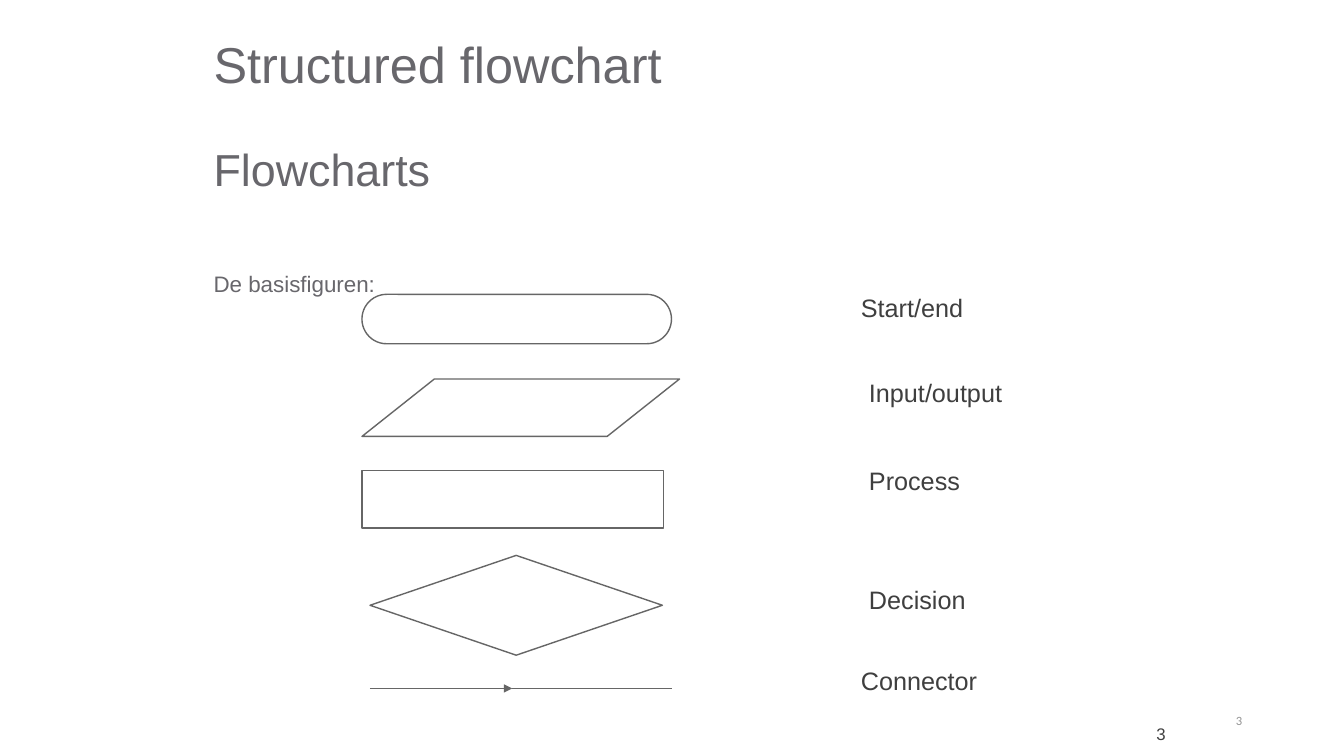
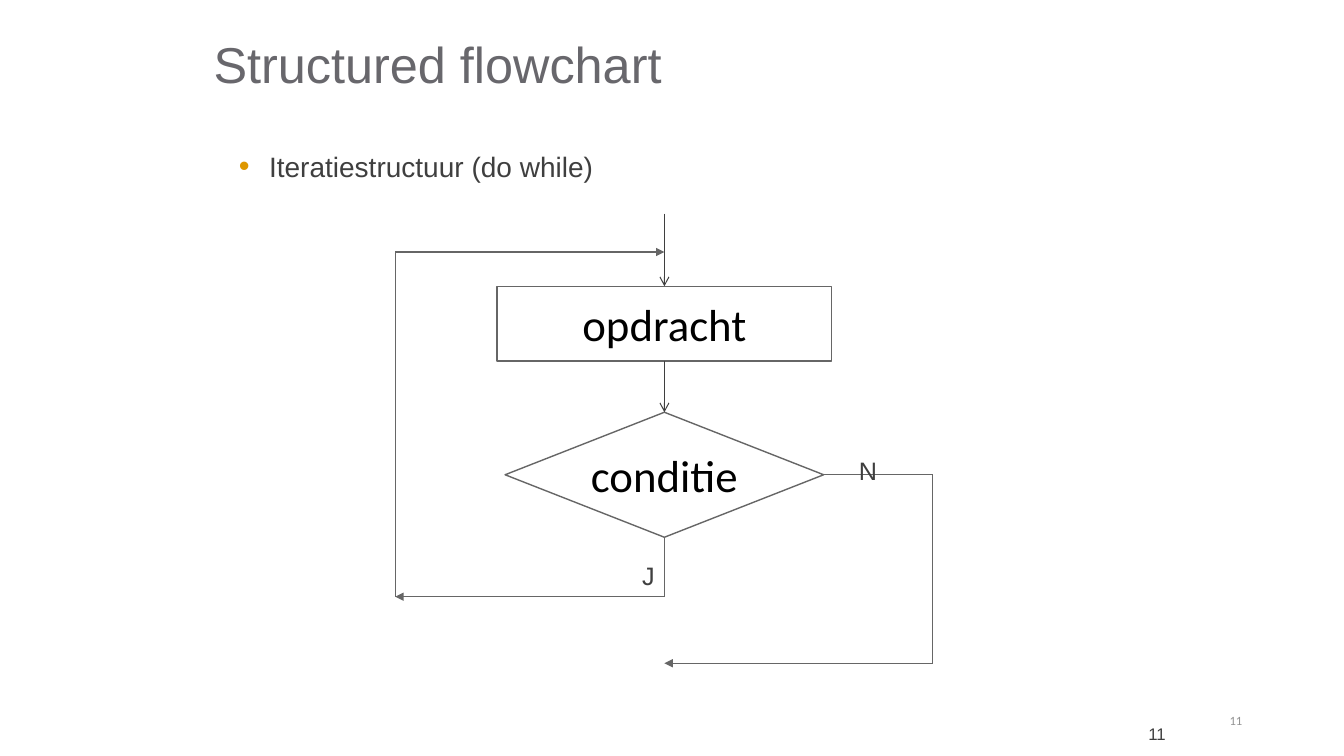
from lxml.etree import SubElement
from pptx import Presentation
from pptx.dml.color import RGBColor
from pptx.enum.shapes import MSO_CONNECTOR, MSO_SHAPE
from pptx.enum.text import MSO_ANCHOR, PP_ALIGN
from pptx.oxml.ns import qn
from pptx.util import Inches, Pt

COLORS = {
    "heading": "68676C",
    "text": "3F3F3F",
    "line": "666666",
    "number": "939393",
    "bullet": "DE9700",
    "black": "000000",
}


class FlowchartDeck:
    def __init__(self):
        self.presentation = Presentation()
        self.presentation.slide_width = Inches(13.33)
        self.presentation.slide_height = Inches(7.5)
        self.slide = None

    def color(self, key):
        return RGBColor.from_string(COLORS[key])

    def style(self, paragraph, size, color, face="Arial", align=None):
        paragraph.alignment = align
        paragraph.font.size = Pt(size)
        paragraph.font.name = face
        paragraph.font.color.rgb = self.color(color)

    def text(self, box, content, size, color="text", face="Arial",
             align=None, anchor=MSO_ANCHOR.TOP):
        frame = self.slide.shapes.add_textbox(*map(Inches, box)).text_frame
        frame.word_wrap = True
        frame.vertical_anchor = anchor
        paragraph = frame.paragraphs[0]
        paragraph.text = content
        self.style(paragraph, size, color, face, align)
        return frame

    def new_slide(self, title, number):
        self.slide = self.presentation.slides.add_slide(
            self.presentation.slide_layouts[6])
        self.text((2.02, 0, 9.53, 1.25), title, 36, "heading",
                  anchor=MSO_ANCHOR.MIDDLE)
        self.text((9.33, 7.08, 2.33, 0.4), number, 12,
                  align=PP_ALIGN.RIGHT, anchor=MSO_ANCHOR.MIDDLE)
        self.text((11.23, 6.95, 1.19, 0.4), number, 9, "number", "Calibri",
                  PP_ALIGN.RIGHT, MSO_ANCHOR.MIDDLE)

    def intro(self, heading, detail):
        frame = self.text((2.02, 1.36, 9.29, 5.15), heading, 32, "heading")
        paragraph = frame.add_paragraph()
        paragraph.text = detail
        paragraph.space_before = Pt(53)
        self.style(paragraph, 16, "heading")

    def bullet(self, box, content, size):
        frame = self.slide.shapes.add_textbox(*map(Inches, box)).text_frame
        frame.word_wrap = True
        paragraph = frame.paragraphs[0]
        paragraph.text = content
        properties = paragraph._p.get_or_add_pPr()
        properties.set("marL", str(Inches(0.3)))
        properties.set("indent", str(-Inches(0.3)))
        tint = SubElement(properties, qn("a:buClr"))
        SubElement(tint, qn("a:srgbClr"), val=COLORS["bullet"])
        SubElement(properties, qn("a:buSzPct"), val="110000")
        SubElement(properties, qn("a:buFont"), typeface="Arial")
        SubElement(properties, qn("a:buChar"), char="•")
        self.style(paragraph, size, "text")

    def figure(self, preset, box, label=None, adjustment=None):
        shape = self.slide.shapes.add_shape(preset, *map(Inches, box))
        shape.shadow.inherit = False
        shape.fill.background()
        shape.line.color.rgb = self.color("line")
        shape.line.width = Pt(1)
        if adjustment is not None:
            shape.adjustments[0] = adjustment
        if label:
            frame = shape.text_frame
            frame.word_wrap = False
            frame.vertical_anchor = MSO_ANCHOR.MIDDLE
            paragraph = frame.paragraphs[0]
            paragraph.text = label
            self.style(paragraph, 32, "black", "Calibri", PP_ALIGN.CENTER)
        return shape

    def line(self, start, end, arrow=None, color="line", width=1,
             source=None, target=None):
        connector = self.slide.shapes.add_connector(
            MSO_CONNECTOR.STRAIGHT, *map(Inches, (*start, *end)))
        if source:
            connector.begin_connect(*source)
        if target:
            connector.end_connect(*target)
        connector.line.color.rgb = self.color(color)
        connector.line.width = Pt(width)
        if arrow:
            SubElement(connector.line._get_or_add_ln(), qn("a:tailEnd"),
                       type=arrow)
        SubElement(connector._element.spPr, qn("a:effectLst"))


def build_basic_figures(deck):
    deck.new_slide("Structured flowchart", "3")
    deck.intro("Flowcharts", "De basisfiguren:")
    figures = [
        (MSO_SHAPE.ROUNDED_RECTANGLE, (3.59, 2.92, 3.07, 0.49), 0.5),
        (MSO_SHAPE.PARALLELOGRAM, (3.59, 3.76, 3.15, 0.57), 1.26),
        (MSO_SHAPE.RECTANGLE, (3.59, 4.67, 2.99, 0.57), None),
        (MSO_SHAPE.DIAMOND, (3.67, 5.51, 2.9, 0.99), None),
    ]
    for preset, box, adjustment in figures:
        deck.figure(preset, box, adjustment=adjustment)
    deck.line((3.67, 6.83), (5.08, 6.83), "triangle")
    deck.line((5.08, 6.83), (6.67, 6.83))
    meanings = [
        ("Start/end", 8.44, 2.85),
        ("Input/output", 8.52, 3.69),
        ("Process", 8.52, 4.57),
        ("Decision", 8.52, 5.75),
        ("Connector", 8.44, 6.55),
    ]
    for meaning, left, top in meanings:
        deck.text((left, top, 1.58, 0.7), meaning, 18)


def build_do_while(deck):
    deck.new_slide("Structured flowchart", "11")
    deck.bullet((2.27, 1.43, 8.98, 5.33), "Iteratiestructuur (do while)", 20)

    axis, loop_x, exit_x = 6.59, 3.92, 9.25
    entry_y, loop_y, exit_y, condition_y = 2.5, 5.92, 6.58, 4.71
    task = deck.figure(MSO_SHAPE.RECTANGLE, (4.93, 2.84, 3.32, 0.74),
                       "opdracht")
    condition = deck.figure(MSO_SHAPE.DIAMOND, (5.01, 4.09, 3.16, 1.24),
                            "conditie")

    deck.line((axis, 2.12), (axis, 2.84), "arrow", "text", 0.75,
              target=(task, 0))
    deck.line((axis, 3.58), (axis, 4.09), "arrow", "text", 0.75,
              source=(task, 2), target=(condition, 0))

    deck.line((axis, 5.33), (axis, loop_y), source=(condition, 2))
    deck.line((axis, loop_y), (loop_x, loop_y), "triangle")
    deck.line((loop_x, loop_y), (loop_x, entry_y))
    deck.line((loop_x, entry_y), (axis, entry_y), "triangle")

    deck.line((8.17, condition_y), (exit_x, condition_y),
              source=(condition, 3))
    deck.line((exit_x, condition_y), (exit_x, exit_y))
    deck.line((exit_x, exit_y), (axis, exit_y), "triangle")

    deck.text((6.27, 5.51, 0.29, 0.4), "J", 18)
    deck.text((8.42, 4.47, 0.37, 0.4), "N", 18)


def main():
    deck = FlowchartDeck()
    build_basic_figures(deck)
    build_do_while(deck)
    deck.presentation.save("out.pptx")


if __name__ == "__main__":
    main()
